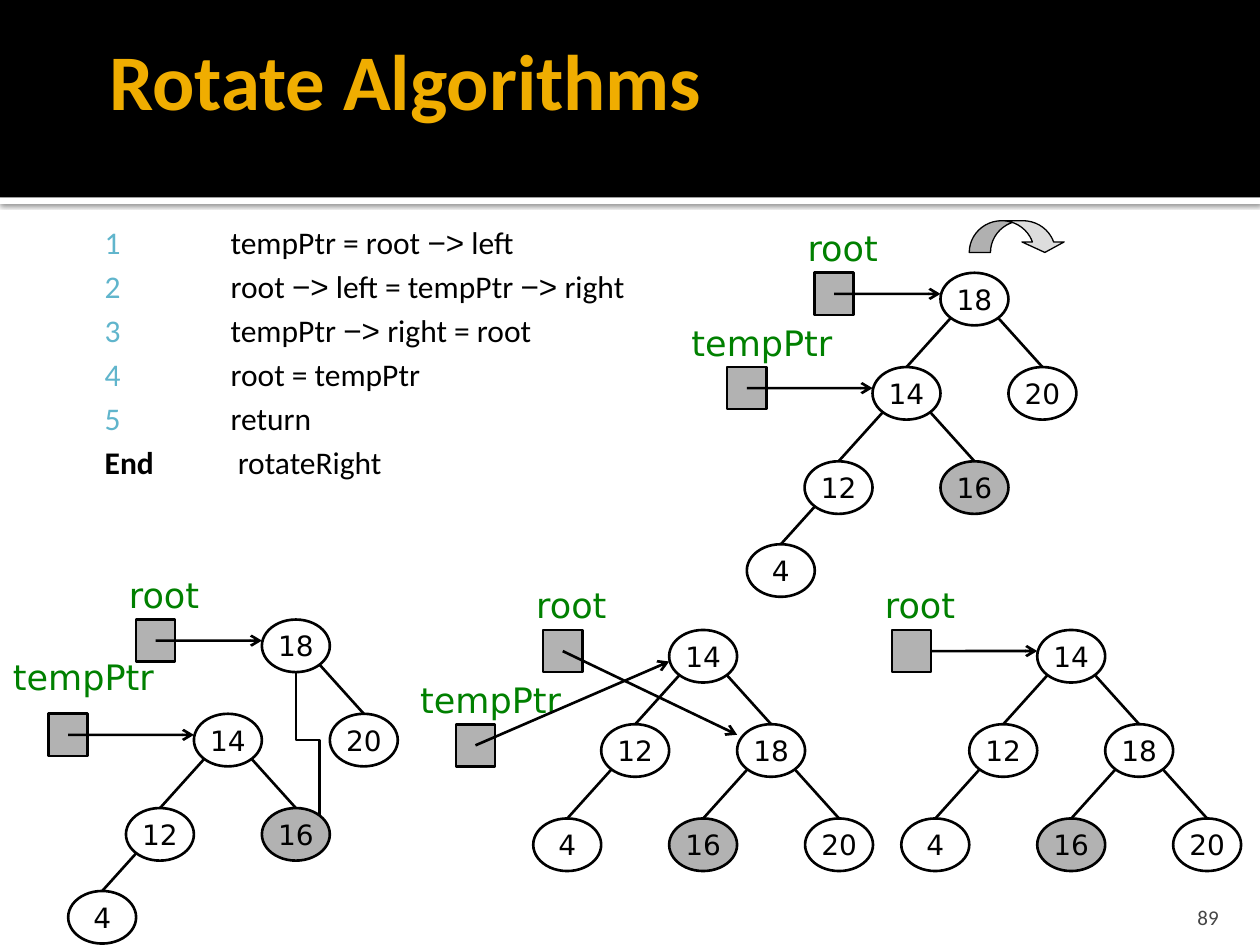
from dataclasses import dataclass

from lxml.etree import SubElement
from pptx import Presentation
from pptx.dml.color import RGBColor
from pptx.enum.shapes import MSO_CONNECTOR as Line, MSO_SHAPE as Shape
from pptx.enum.text import MSO_ANCHOR as Anchor, MSO_AUTO_SIZE as AutoSize, PP_ALIGN as Align
from pptx.oxml.ns import qn
from pptx.util import Cm, Pt

TITLE = "Rotate Algorithms"
PAGE_NUMBER = "89"
CODE = [
    ("1", "tempPtr = root −> left"),
    ("2", "root −> left = tempPtr −> right"),
    ("3", "tempPtr −> right = root"),
    ("4", "root = tempPtr"),
    ("5", "return"),
    ("End", " rotateRight"),
]

BEFORE = {"18": (0, 0), "14": (-1, 1), "20": (1, 1), "12": (-2, 2), "16": (0, 2), "4": (-2.85, 2.88)}
AFTER = {"14": (0, 0), "12": (-1, 1), "18": (1, 1), "4": (-2, 2), "16": (0, 2), "20": (2, 2)}
LOWER_EDGES = [("18", "20"), ("14", "12"), ("14", "16"), ("12", "4")]
AFTER_EDGES = [("14", "12"), ("14", "18"), ("12", "4"), ("18", "16"), ("18", "20")]
SHADED = "16"


def pointer(name, target, down=0.4, across=0.5, shift=0, drop=0):
    return name, target, down, across, shift, drop


TREES = [
    dict(origin=(18.96, 5.5), nodes=BEFORE, edges=[("18", "14")] + LOWER_EDGES,
         pointers=[pointer("root", "18"), pointer("tempPtr", "14")]),
    dict(origin=(5.28, 12.49), nodes=BEFORE, edges=LOWER_EDGES, elbow=("18", "16"),
         pointers=[pointer("root", "18"), pointer("tempPtr", "14", drop=-0.25)]),
    dict(origin=(13.49, 12.7), nodes=AFTER, edges=AFTER_EDGES,
         pointers=[pointer("root", "18", down=0.2), pointer("tempPtr", "14", down=0.6)]),
    dict(origin=(20.91, 12.7), nodes=AFTER, edges=AFTER_EDGES,
         pointers=[pointer("root", "14", across=1, shift=-0.39)]),
]
BOX_OFFSETS = {"root": (-2.54, 0), "tempPtr": (-4.3, 1.9)}
LABEL_OFFSETS = {"root": (-2.93, -1.06), "tempPtr": (-5.27, 0.85)}

NODE_WIDTH, NODE_HEIGHT = 1.37, 1.06
COLUMN_STEP, ROW_STEP = 1.37, 1.9
BOX_WIDTH, BOX_HEIGHT = 0.79, 0.85


@dataclass(frozen=True)
class Theme:
    black: RGBColor = RGBColor.from_string("000000")
    white: RGBColor = RGBColor.from_string("FFFFFF")
    gold: RGBColor = RGBColor.from_string("F0AD00")
    blue: RGBColor = RGBColor.from_string("60B5CC")
    green: RGBColor = RGBColor.from_string("008000")
    gray: RGBColor = RGBColor.from_string("B2B2B2")
    light: RGBColor = RGBColor.from_string("DDDDDD")
    muted: RGBColor = RGBColor.from_string("454545")
    text_font: str = "Calibri"
    symbol_font: str = "Arial"
    diagram_font: str = "DejaVu Sans"
    title_size: Pt = Pt(45)
    label_size: Pt = Pt(20)
    code_size: Pt = Pt(18)
    node_size: Pt = Pt(16)
    number_size: Pt = Pt(12)
    stroke: Pt = Pt(1.5)
    thin: Pt = Pt(0.75)


THEME = Theme()


def style(font, name, size, color, bold=False):
    font.name, font.size, font.bold = name, size, bold
    font.color.rgb = color


def place(shape, left, top, width, height):
    shape.left, shape.top, shape.width, shape.height = map(Cm, (left, top, width, height))


def set_frame(shape, insets, anchor=Anchor.TOP, wrap=True):
    frame = shape.text_frame
    frame.auto_size, frame.word_wrap, frame.vertical_anchor = AutoSize.NONE, wrap, anchor
    frame.margin_left, frame.margin_top, frame.margin_right, frame.margin_bottom = map(Cm, insets)
    return frame


def add_shape(slide, kind, left, top, width, height, fill=None, stroke=None):
    shape = slide.shapes.add_shape(kind, *map(Cm, (left, top, width, height)))
    shape.shadow.inherit = False
    if fill is None:
        shape.fill.background()
    else:
        shape.fill.solid()
        shape.fill.fore_color.rgb = fill
    if stroke is None:
        shape.line.fill.background()
    else:
        shape.line.color.rgb, shape.line.width = THEME.black, stroke
    return shape


def add_line(slide, start, end, arrow=False, kind=Line.STRAIGHT):
    line = slide.shapes.add_connector(kind, *map(Cm, (*start, *end)))
    line.line.color.rgb, line.line.width = THEME.black, THEME.stroke
    properties = line._element.spPr
    if arrow:
        SubElement(properties.find(qn("a:ln")), qn("a:tailEnd"), type="arrow")
    SubElement(properties, qn("a:effectLst"))
    return line


def add_vertical_elbow(slide, start, end):
    center_x, center_y = (start[0] + end[0]) / 2, (start[1] + end[1]) / 2
    length, spread = end[1] - start[1], end[0] - start[0]
    line = add_line(slide, (center_x + length / 2, center_y - spread / 2),
                    (center_x - length / 2, center_y + spread / 2), kind=Line.ELBOW)
    properties = line._element.spPr
    properties.find(qn("a:xfrm")).set("rot", "16200000")
    guides = properties.find(qn("a:prstGeom")).get_or_add_avLst()
    SubElement(guides, qn("a:gd"), name="adj1", fmla="val 47300")


def add_text(slide, text, box, insets, font, anchor=Anchor.TOP, align=Align.LEFT):
    textbox = slide.shapes.add_textbox(*map(Cm, box))
    paragraph = set_frame(textbox, insets, anchor).paragraphs[0]
    paragraph.text, paragraph.alignment = text, align
    style(paragraph.font, *font)


def add_header(slide):
    strip = add_shape(slide, Shape.RECTANGLE, 0, 3.98, 25.4, 0.13, THEME.white)
    effects = strip._element.spPr.find(qn("a:effectLst"))
    shadow = SubElement(effects, qn("a:outerShdw"), blurRad=str(Pt(2.5)), dist=str(Pt(0.8)),
                        dir="5400000", algn="t", rotWithShape="0")
    color = SubElement(shadow, qn("a:srgbClr"), val=str(THEME.black))
    SubElement(color, qn("a:alpha"), val="60000")
    band = add_shape(slide, Shape.RECTANGLE, 0, 0, 25.4, 3.98, THEME.black)
    for position, shape in enumerate((strip, band), start=2):
        slide.shapes._spTree.insert(position, shape._element)

    title = slide.shapes.title
    place(title, 1.96, 0, 21.59, 3.18)
    paragraph = set_frame(title, (0.25, 0.13, 0.13, 0.13), Anchor.MIDDLE).paragraphs[0]
    paragraph.text, paragraph.alignment = TITLE, Align.LEFT
    style(paragraph.font, THEME.text_font, THEME.title_size, THEME.gold, True)


def add_code(slide):
    body = slide.placeholders[1]
    place(body, 1.96, 4.24, 21.59, 11.43)
    frame = set_frame(body, (0.15, 0.25, 0.25, 0.13))
    for index, (number, code) in enumerate(CODE):
        paragraph = frame.paragraphs[0] if index == 0 else frame.add_paragraph()
        paragraph.space_before, paragraph.space_after = Pt(0), Pt(3.6)
        properties = paragraph._p.get_or_add_pPr()
        properties.set("marL", "0")
        properties.set("indent", "0")
        properties.set("defTabSz", str(Cm(2.54)))
        SubElement(properties, qn("a:buNone"))
        is_end = number == "End"
        lead = paragraph.add_run()
        lead.text = number
        style(lead.font, THEME.text_font, THEME.code_size, THEME.black if is_end else THEME.blue, is_end)
        before, *rest = code.split("−>")
        pieces = [("\t" + before, THEME.text_font)]
        for piece in rest:
            pieces += [("−>", THEME.symbol_font), (piece, THEME.text_font)]
        for text, font_name in pieces:
            run = paragraph.add_run()
            run.text = text
            style(run.font, font_name, THEME.code_size, THEME.black)


def add_tree(slide, origin, nodes, edges, pointers, elbow=None):
    corners = {name: (origin[0] + column * COLUMN_STEP, origin[1] + row * ROW_STEP)
               for name, (column, row) in nodes.items()}

    def on_node(name, across, down):
        left, top = corners[name]
        return left + across * NODE_WIDTH, top + down * NODE_HEIGHT

    for name, corner in corners.items():
        fill = THEME.gray if name == SHADED else None
        node = add_shape(slide, Shape.OVAL, *corner, NODE_WIDTH, NODE_HEIGHT, fill, THEME.stroke)
        paragraph = set_frame(node, (0, 0, 0, 0), Anchor.MIDDLE, False).paragraphs[0]
        paragraph.text, paragraph.alignment = name, Align.CENTER
        style(paragraph.font, THEME.diagram_font, THEME.node_size, THEME.black)
    for parent, child in edges:
        across = 0.15 if nodes[child][0] < nodes[parent][0] else 0.85
        add_line(slide, on_node(parent, across, 0.86), on_node(child, 0.5, 0))
    if elbow:
        add_vertical_elbow(slide, on_node(elbow[0], 0.5, 1), on_node(elbow[1], 0.85, 0.14))
    for name, target, down, across, shift, drop in pointers:
        (left, top), (label_left, label_top) = (
            (origin[0] + offsets[name][0] + shift, origin[1] + offsets[name][1])
            for offsets in (BOX_OFFSETS, LABEL_OFFSETS))
        add_shape(slide, Shape.RECTANGLE, left, top, BOX_WIDTH, BOX_HEIGHT, THEME.gray, THEME.stroke)
        add_text(slide, name, (label_left, label_top + drop, 3.5, 1.12), (0.25, 0.13, 0.25, 0.13),
                 (THEME.diagram_font, THEME.label_size, THEME.green))
        add_line(slide, (left + across * BOX_WIDTH, top + BOX_HEIGHT / 2),
                 on_node(target, 0, down), arrow=True)


def main():
    presentation = Presentation()
    presentation.slide_width, presentation.slide_height = Cm(25.4), Cm(19.05)
    slide = presentation.slides.add_slide(presentation.slide_layouts[1])
    add_header(slide)
    add_code(slide)
    for tree in TREES:
        add_tree(slide, **tree)
    turn = add_shape(slide, Shape.CURVED_DOWN_ARROW, 19.54, 4.45, 1.95, 0.64, THEME.light, THEME.thin)
    for index, value in enumerate((0.67, 1.33, 0.33)):
        turn.adjustments[index] = value
    add_text(slide, PAGE_NUMBER, (22.79, 17.99, 2.03, 0.76), (0.25, 0.13, 0.25, 0),
             (THEME.text_font, THEME.number_size, THEME.muted), Anchor.BOTTOM, Align.RIGHT)
    presentation.save("out.pptx")


if __name__ == "__main__":
    main()
